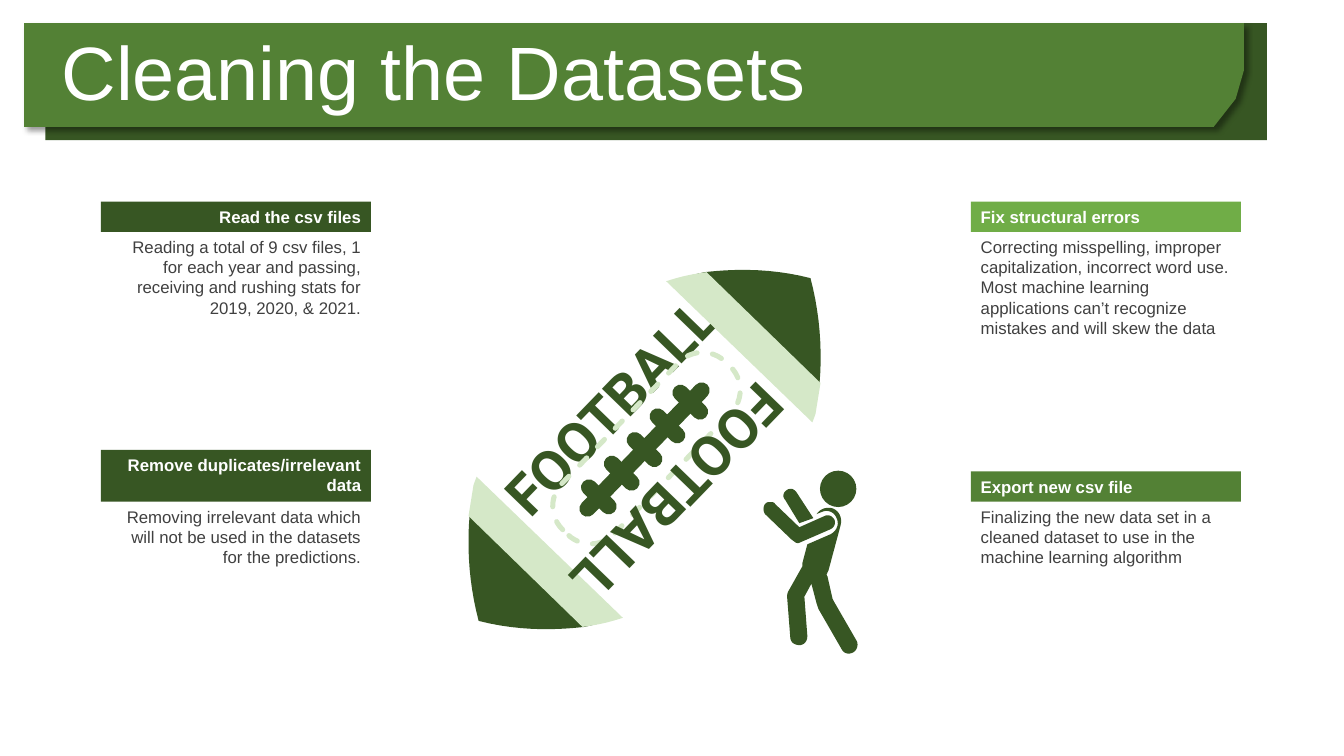
"""Builds the "Cleaning the Datasets" slide with four step cards around a football."""
from math import cos, radians, sin

from lxml import etree
from pptx import Presentation
from pptx import util as u
from pptx.dml import color
from pptx.enum import shapes, text
from pptx.oxml import ns

COLORS = {"dark": "375623", "mid": "538135", "light": "70AD47", "pale": "D5E8C8",
          "gray": "404040", "white": "FFFFFF"}

TITLE = "Cleaning the Datasets"
LEFT, RIGHT = (72, text.PP_ALIGN.RIGHT), (693.4, text.PP_ALIGN.LEFT)
CARDS = [
    (LEFT, 165.6, 21.6, 65.5, "dark", "Read the csv files",
     "Reading a total of 9 csv files, 1 for each year and passing, "
     "receiving and rushing stats for 2019, 2020, & 2021."),
    (LEFT, 358.3, 37, 51, "dark", "Remove duplicates/irrelevant data",
     "Removing irrelevant data which will not be used in the datasets for the predictions."),
    (RIGHT, 165.6, 21.6, 80, "light", "Fix structural errors",
     "Correcting misspelling, improper capitalization, incorrect word use. Most machine "
     "learning applications can’t recognize mistakes and will skew the data"),
    (RIGHT, 358.3, 21.6, 51, "mid", "Export new csv file",
     "Finalizing the new data set in a cleaned dataset to use in the machine learning algorithm"),
]
CARD_WIDTH = 193

BANNER = [(17.3, 16.6), (888.5, 16.6), (888.5, 50.4), (882.7, 70.6), (866.9, 90.7), (17.3, 90.7)]

BALL_CENTER = (460.4, 321.1)
BALL_ANGLE = 314
BALL_LABEL = "FOOTBALL"
LABEL_CENTER = (448.2, 302)
STITCHES, STITCH_STEP, STITCH_WIDTH = 5, 23.5, 11.5
TIP = [(493.9, 196.6), (503.3, 194.4), (528.5, 191.5, 553.7, 192.2, 578.9, 198.7),
       (585.4, 223.2, 587.5, 249.1, 585.4, 273.6), (583.9, 283)]
BAND = [(475.9, 200.9), (486.7, 197.3, 494.6, 195.8, 504.7, 194.4), (586.1, 273.6),
        (582.5, 295.9), (580.3, 301.7)]

HEAD_CENTER, HEAD_SIZE = (598.7, 349.2), 26
FRONT_ARM = [
    (550.1, 358.6), (551.5, 358.6, 553, 358.6, 553.7, 360), (571, 376.6), (589, 368.6),
    (591.8, 367.2, 594.7, 368.6, 596.2, 371.5), (596.9, 373.7, 596.2, 376.6, 593.3, 378),
    (571.7, 387.4), (570.2, 388.1, 569.5, 388.1, 568.1, 387.4), (565.2, 385.2), (546.5, 367.2),
    (545, 365, 545, 362.2, 546.5, 360), (547.9, 358.6, 548.6, 358.6, 550.1, 358.6)]
BODY = [
    (594, 362.9), (599, 364.3, 601.9, 369.4, 600.5, 375.1),
    (597.6, 385.9, 594.7, 396.7, 591.8, 407.5), (590.4, 410.4), (591.1, 411.8), (594.7, 427.7),
    (595.4, 429.1), (612, 457.9), (613.4, 460.8, 612, 464.4, 609.8, 465.8),
    (606.2, 468, 602.6, 466.6, 601.2, 463.7), (584.6, 434.9), (583.2, 430.6), (579.6, 416.9),
    (574.6, 426.2), (576.7, 454.3), (576.7, 457.9, 574.6, 460.8, 571, 460.8),
    (567.4, 460.8, 564.5, 458.6, 564.5, 455), (562.3, 427),
    (562.3, 424.8, 562.3, 424.1, 563, 422.6), (573.1, 404.6), (573.1, 402.5), (576.7, 388.8),
    (593.3, 381.6), (597.6, 379.4, 599.8, 374.4, 597.6, 370.1),
    (596.2, 365.8, 591.1, 363.6, 586.8, 365.8), (583.2, 367.2), (583.9, 366.5),
    (586.1, 363.6, 589.7, 362.2, 594, 362.9)]
BACK_ARM = [
    (565.9, 349.2), (567.4, 349.9, 568.1, 350.6, 568.8, 351.4), (581, 370.1), (571, 373.7),
    (560.9, 357.1), (558.7, 355, 559.4, 351.4, 562.3, 349.9), (563, 349.2, 564.5, 349.2, 565.9, 349.2)]


def rgb(name):
    return color.RGBColor.from_string(COLORS[name])


def paint(shape, fill):
    shape.shadow.inherit = False
    shape.fill.solid()
    shape.fill.fore_color.rgb = rgb(fill)
    shape.line.fill.background()
    return shape


def add_preset(page, kind, fill, left, top, width, height):
    shape = page.shapes.add_shape(kind, u.Pt(left), u.Pt(top), u.Pt(width), u.Pt(height))
    return paint(shape, fill)


def add_centered(page, kind, fill, center, width, height):
    return add_preset(page, kind, fill, center[0] - width / 2, center[1] - height / 2, width, height)


def flatten(outline, steps=10):
    """Turns line and curve segments into a list of points."""
    points = [outline[0]]
    for segment in outline[1:]:
        if len(segment) == 2:
            points.append(segment)
            continue
        knots = [points[-1], segment[:2], segment[2:4], segment[4:]]
        for step in range(1, steps + 1):
            t = step / steps
            weights = ((1 - t) ** 3, 3 * t * (1 - t) ** 2, 3 * t * t * (1 - t), t ** 3)
            points.append(tuple(sum(w * k[axis] for w, k in zip(weights, knots)) for axis in (0, 1)))
    return points


def add_outline(page, fill, *outlines):
    builder = None
    for outline in outlines:
        points = [(u.Pt(x), u.Pt(y)) for x, y in flatten(outline)]
        if builder is None:
            builder = page.shapes.build_freeform(*points[0])
        else:
            builder.move_to(*points[0])
        builder.add_line_segments(points[1:], close=True)
    return paint(builder.convert_to_shape(), fill)


def mirror(segment):
    return tuple(2 * BALL_CENTER[i % 2] - value for i, value in enumerate(segment))


def write(shape, words, align, size, ink, bold=False, font="Arial"):
    frame = shape.text_frame
    frame.word_wrap = True
    frame.vertical_anchor = text.MSO_ANCHOR.TOP
    para = frame.paragraphs[0]
    para.alignment = align
    span = para.add_run()
    span.text = words
    span.font.name, span.font.size, span.font.bold = font, u.Pt(size), bold
    span.font.color.rgb = rgb(ink)
    return frame


def add_text(page, left, top, width, height):
    return page.shapes.add_textbox(u.Pt(left), u.Pt(top), u.Pt(width), u.Pt(height))


def add_banner(page):
    add_preset(page, shapes.MSO_SHAPE.RECTANGLE, "dark", 32.4, 16.6, 872.6, 83.5)
    banner = add_outline(page, "mid", BANNER)
    effects = banner.element.spPr.find(ns.qn("a:effectLst"))
    shadow = etree.SubElement(effects, ns.qn("a:outerShdw"), blurRad=str(u.Pt(4)),
                              dist=str(u.Pt(3)), dir="2700000", algn="tl", rotWithShape="0")
    black = etree.SubElement(shadow, ns.qn("a:srgbClr"), val="000000")
    etree.SubElement(black, ns.qn("a:alpha"), val="40000")
    title = page.shapes.title
    title.left, title.top, title.width, title.height = map(u.Pt, (36.7, 25.9, 790.6, 56.9))
    frame = write(title, TITLE, text.PP_ALIGN.LEFT, 54, "white")
    frame.vertical_anchor = text.MSO_ANCHOR.MIDDLE
    frame.auto_size = text.MSO_AUTO_SIZE.NONE
    frame.paragraphs[0].line_spacing = 0.9
    frame.paragraphs[0].space_before = u.Pt(0)
    title.element.getparent().append(title.element)


def add_label(page, center, angle):
    label = add_text(page, center[0] - 132, center[1] - 45, 264, 90)
    label.rotation = angle
    write(label, BALL_LABEL, text.PP_ALIGN.CENTER, 40, "dark", True, "Roboto")


def add_football(page):
    rounded = shapes.MSO_SHAPE.ROUNDED_RECTANGLE
    add_label(page, LABEL_CENTER, BALL_ANGLE)
    add_outline(page, "dark", TIP, [mirror(segment) for segment in TIP])
    along = cos(radians(BALL_ANGLE)), sin(radians(BALL_ANGLE))
    offsets = [(i - (STITCHES - 1) / 2) * STITCH_STEP for i in range(STITCHES)]
    lacing = [(0, 129, STITCH_WIDTH)] + [(offset, STITCH_WIDTH, 31) for offset in offsets]
    for offset, width, height in lacing:
        center = [middle + offset * part for middle, part in zip(BALL_CENTER, along)]
        lace = add_centered(page, rounded, "dark", center, width, height)
        lace.adjustments[0] = 0.5
        lace.rotation = BALL_ANGLE
    seam = add_centered(page, rounded, "pale", (461.8, 320.1), 167, 51.8)
    seam.adjustments[0] = 0.45
    seam.rotation = BALL_ANGLE
    seam.fill.background()
    seam.line.color.rgb = rgb("pale")
    seam.line.width = u.Pt(3.6)
    line = seam.element.spPr.find(ns.qn("a:ln"))
    line.set("cap", "rnd")
    dashes = etree.SubElement(line, ns.qn("a:custDash"))
    etree.SubElement(dashes, ns.qn("a:ds"), d="300000", sp="208000")
    for band in (BAND, [mirror(segment) for segment in BAND]):
        add_outline(page, "pale", band)
    add_label(page, mirror(LABEL_CENTER), BALL_ANGLE - 180)


def add_card(page, column, top, header_height, height, fill, heading, words):
    left, align = column
    body = add_text(page, left, top, CARD_WIDTH, height)
    header = add_preset(page, shapes.MSO_SHAPE.RECTANGLE, fill,
                        left, top - header_height, CARD_WIDTH, header_height)
    for frame in (write(body, words, align, 12, "gray"),
                  write(header, heading, align, 12, "white", True)):
        frame.auto_size = text.MSO_AUTO_SIZE.SHAPE_TO_FIT_TEXT


def main():
    deck = Presentation()
    deck.slide_width, deck.slide_height = u.Pt(960), u.Pt(540)
    page = deck.slides.add_slide(deck.slide_layouts[5])
    add_banner(page)
    add_football(page)
    add_outline(page, "dark", FRONT_ARM, BODY, BACK_ARM)
    add_centered(page, shapes.MSO_SHAPE.OVAL, "dark", HEAD_CENTER, HEAD_SIZE, HEAD_SIZE)
    for card in CARDS:
        add_card(page, *card)
    deck.save("out.pptx")


if __name__ == "__main__":
    main()
